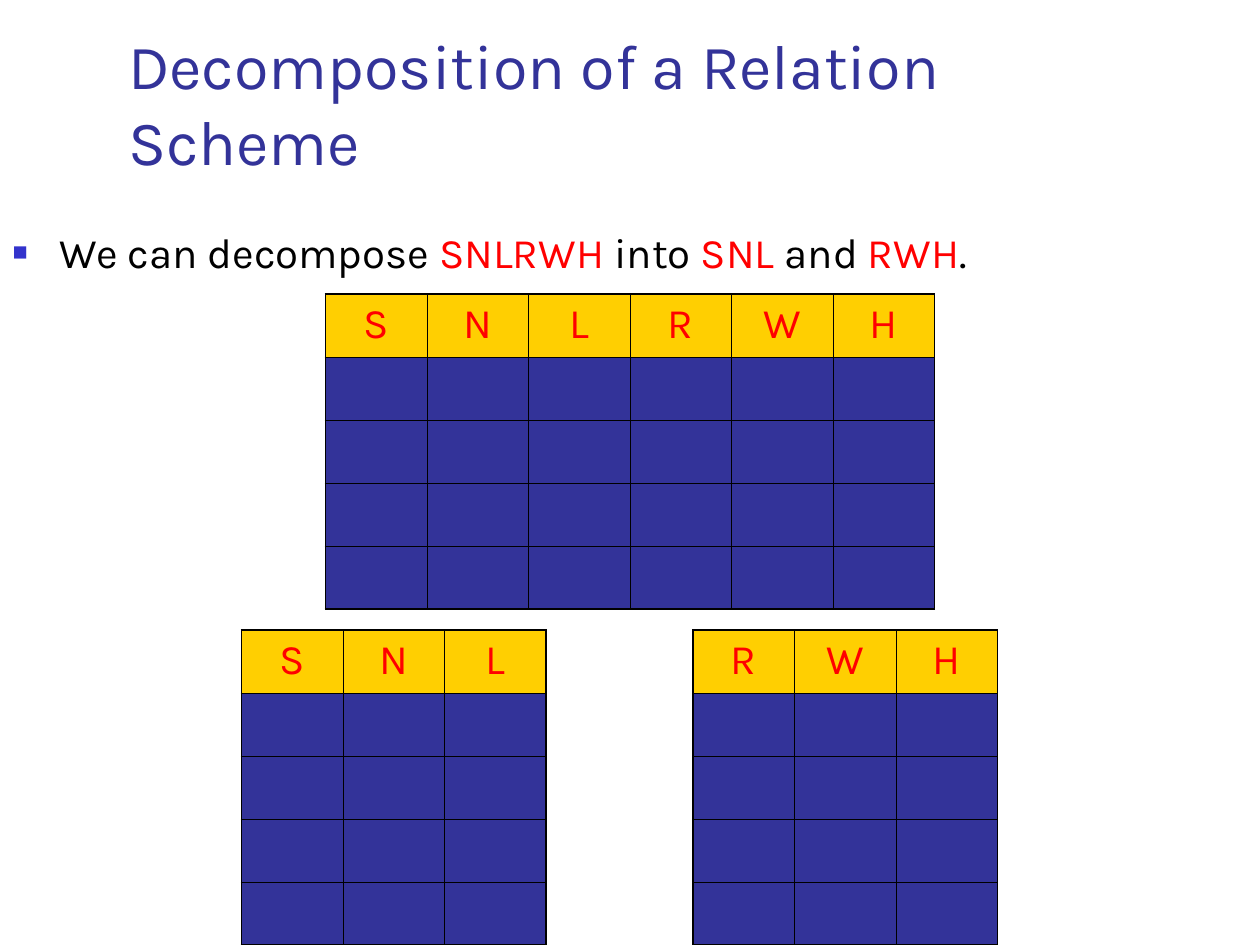
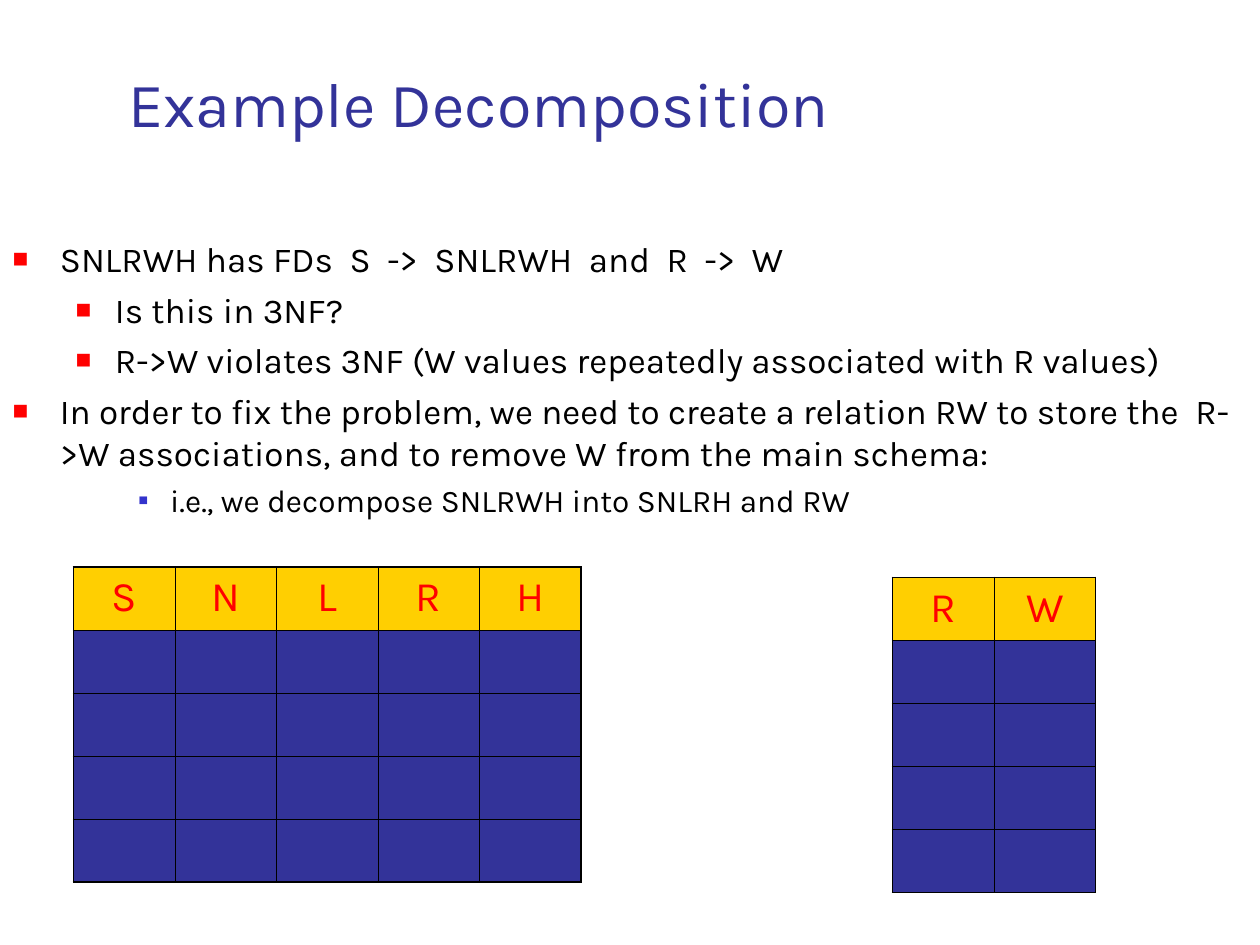
from lxml.etree import SubElement
from pptx import Presentation
from pptx.dml.color import RGBColor
from pptx.enum.text import MSO_ANCHOR as Anchor, MSO_AUTO_SIZE as AutoSize, PP_ALIGN as Align
from pptx.oxml.ns import qn
from pptx.util import Pt

FONT = "Karla"
WHITE = RGBColor(0xFF, 0xFF, 0xFF)
BLACK = RGBColor(0x00, 0x00, 0x00)
RED = RGBColor(0xFF, 0x00, 0x00)
INDIGO = RGBColor(0x33, 0x33, 0x99)
BLUE = RGBColor(0x33, 0x33, 0xCC)
GOLD = RGBColor(0xFF, 0xCF, 0x01)

COLUMN_WIDTH = 58
ROW_HEIGHT = 36
ROWS = 5
OUTER_LINE = 1.08
INNER_LINE = 0.45
INDENTS = [(27, -27), (58.5, -22.5), (90, -18)]


def add_run(p, text, size=24, color=BLACK):
    r = p.add_run()
    r.text = text
    r.font.name = FONT
    r.font.size = Pt(size)
    r.font.bold = False
    r.font.color.rgb = color


def place(sp, left, top, width, height, anchor):
    sp.left, sp.top, sp.width, sp.height = Pt(left), Pt(top), Pt(width), Pt(height)
    tf = sp.text_frame
    tf.word_wrap = True
    tf.auto_size = AutoSize.NONE
    tf.vertical_anchor = anchor
    return tf


def add_slide(prs, title, body_top):
    s = prs.slides.add_slide(prs.slide_layouts[1])
    s.background.fill.solid()
    s.background.fill.fore_color.rgb = WHITE
    p = place(s.shapes.title, 66, 33, 612, 51, Anchor.MIDDLE).paragraphs[0]
    p.alignment = Align.LEFT
    add_run(p, title, size=36, color=INDIGO)
    return s, place(s.placeholders[1], 0, body_top, 714, 378, Anchor.TOP)


def add_bullet(tf, runs, level=0, size=20, before=5, color=RED, percent=75):
    p = tf.paragraphs[0]
    if p.runs:
        p = tf.add_paragraph()
    p.level = level
    p.space_before = Pt(before)
    pPr = p._p.get_or_add_pPr()
    margin, indent = INDENTS[level]
    pPr.set("marL", str(Pt(margin)))
    pPr.set("indent", str(Pt(indent)))
    SubElement(SubElement(pPr, qn("a:buClr")), qn("a:srgbClr"), val=str(color))
    SubElement(pPr, qn("a:buSzPct"), val=str(percent * 1000))
    SubElement(pPr, qn("a:buChar"), char="■")
    for text, text_color in runs:
        add_run(p, text, size=size, color=text_color)


def set_borders(cell, outer_sides):
    tcPr = cell._tc.get_or_add_tcPr()
    for side in "LRTB":
        width = OUTER_LINE if side in outer_sides else INNER_LINE
        ln = SubElement(tcPr, qn(f"a:ln{side}"), w=str(Pt(width)))
        SubElement(SubElement(ln, qn("a:solidFill")), qn("a:srgbClr"), val=str(BLACK))


def add_relation(s, attributes, left, top):
    columns = len(attributes)
    table = s.shapes.add_table(ROWS, columns, Pt(left), Pt(top),
                               Pt(columns * COLUMN_WIDTH), Pt(ROWS * ROW_HEIGHT)).table
    table.first_row = table.horz_banding = False
    for row in range(ROWS):
        for column, attribute in enumerate(attributes):
            cell = table.cell(row, column)
            edges = {"L": column == 0, "R": column == columns - 1,
                     "T": row == 0, "B": row == ROWS - 1}
            set_borders(cell, [side for side in edges if edges[side]])
            cell.margin_left = cell.margin_right = Pt(3.6)
            cell.margin_top = cell.margin_bottom = Pt(3.6)
            cell.fill.solid()
            cell.fill.fore_color.rgb = INDIGO if row else GOLD
            if row == 0:
                p = cell.text_frame.paragraphs[0]
                p.alignment = Align.CENTER
                add_run(p, attribute, color=RED)


def add_scheme_slide(prs):
    s, tf = add_slide(prs, "Decomposition of a Relation Scheme", 126)
    add_bullet(tf, [("We can decompose ", BLACK), ("SNLRWH", RED), (" into ", BLACK),
                    ("SNL", RED), (" and ", BLACK), ("RWH", RED), (".", BLACK)],
               size=24, before=6, color=BLUE, percent=60)
    add_relation(s, "SNLRWH", 186, 168)
    add_relation(s, "SNL", 138, 360)
    add_relation(s, "RWH", 396, 360)


def add_example_slide(prs):
    s, tf = add_slide(prs, "Example Decomposition", 132)
    for level, text in [
        (0, "SNLRWH has FDs  S  ->  SNLRWH  and  R  ->  W"),
        (1, "Is this in 3NF?"),
        (1, "R->W violates 3NF (W values repeatedly associated with R values)"),
        (0, "In order to fix the problem, we need to create a relation RW to store "
            "the  R->W associations, and to remove W from the main schema:"),
    ]:
        add_bullet(tf, [(text, BLACK)], level=level)
    add_bullet(tf, [("i.e., we decompose SNLRWH into SNLRH and RW", BLACK)],
               level=2, size=18, before=4.5, color=BLUE, percent=50)
    add_relation(s, "SNLRH", 42, 324)
    add_relation(s, "RW", 510, 330)


def main():
    prs = Presentation()
    prs.slide_width, prs.slide_height = Pt(720), Pt(540)
    add_scheme_slide(prs)
    add_example_slide(prs)
    prs.save("out.pptx")


if __name__ == "__main__":
    main()
